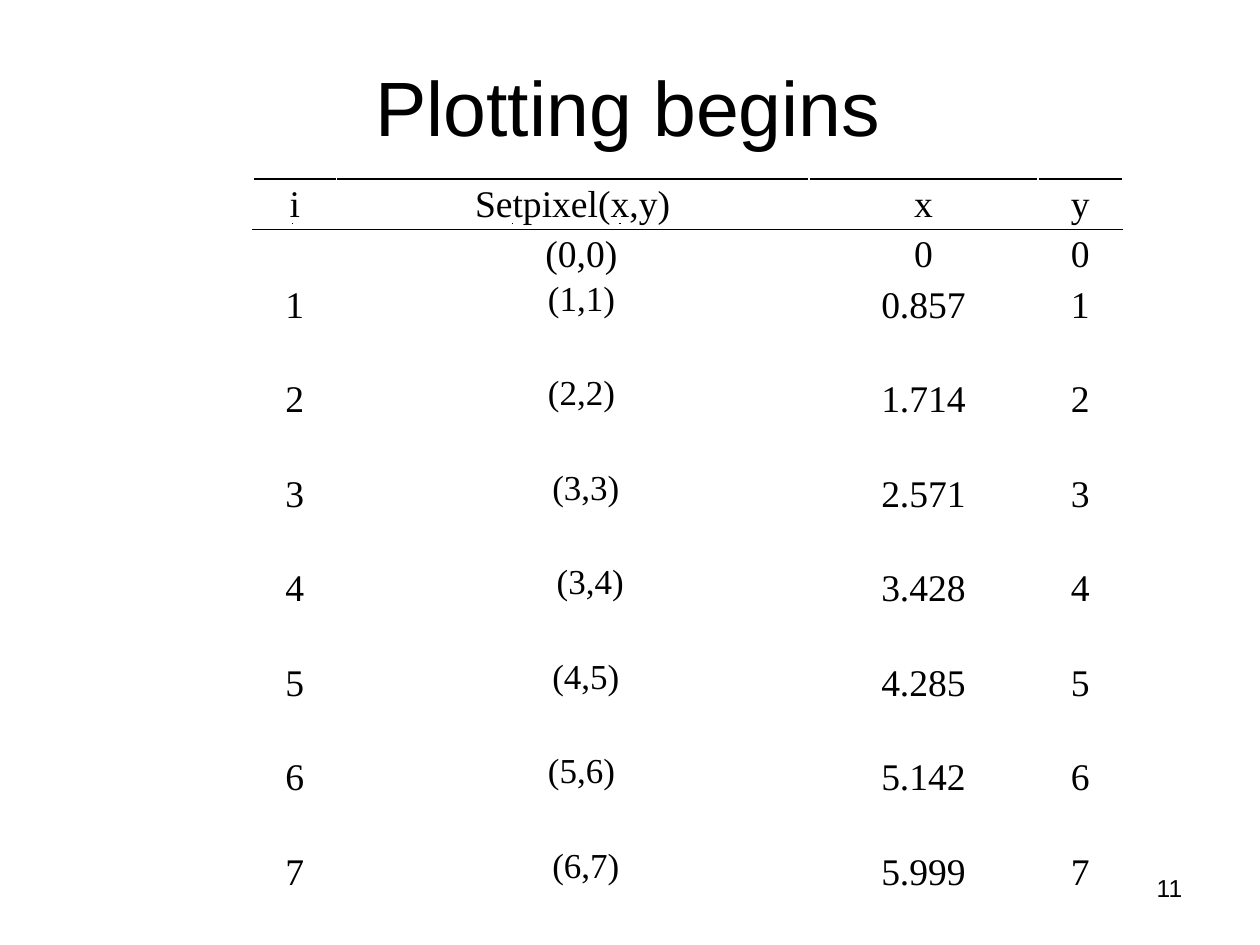
from pptx import Presentation
from pptx.dml.color import RGBColor
from pptx.enum.shapes import MSO_CONNECTOR
from pptx.enum.text import MSO_ANCHOR, PP_ALIGN
from pptx.oxml.ns import qn
from pptx.util import Inches, Pt
from lxml import etree

LEFT, CENTER = PP_ALIGN.LEFT, PP_ALIGN.CENTER
TOP = MSO_ANCHOR.TOP
STRAIGHT = MSO_CONNECTOR.STRAIGHT
COLORS = {"ink": "000000"}
SERIF, SANS = "Times New Roman", "Arial"


def write(tf, text, font=SERIF, size=21.5, align=CENTER, spacing=1.12):
    p = tf.paragraphs[0]
    p.alignment = align
    p.line_spacing = spacing
    r = p.add_run()
    r.text = text
    r.font.name = font
    r.font.size = Pt(size)
    r.font.color.rgb = RGBColor.from_string(COLORS["ink"])


def add_border(cell, side):
    tcPr = cell._tc.get_or_add_tcPr()
    ln = etree.Element(qn("a:" + side), w=str(Pt(1)))
    fill = etree.SubElement(ln, qn("a:solidFill"))
    etree.SubElement(fill, qn("a:srgbClr"), val=COLORS["ink"])
    tcPr.insert(0 if side == "lnT" else len(tcPr) - 1, ln)


prs = Presentation()
prs.slide_width, prs.slide_height = Inches(10), Inches(7.5)
s = prs.slides.add_slide(prs.slide_layouts[5])

title = s.shapes.title
title.left, title.top = Inches(2.98), Inches(0.39)
title.width, title.height = Inches(4.04), Inches(0.76)
tf = title.text_frame
tf.margin_left = tf.margin_right = tf.margin_bottom = 0
tf.margin_top = Inches(0.08)
tf.vertical_anchor = TOP
write(tf, "Plotting begins", font=SANS, size=44, align=LEFT, spacing=1)

rows = [
    ("i", "Setpixel(x,y)", "x", "y"),
    ("", "(0,0)", "0", "0"),
]
points = [
    ("(1,1)", "0.857"),
    ("(2,2)", "1.714"),
    ("(3,3)", "2.571"),
    ("(3,4)", "3.428"),
    ("(4,5)", "4.285"),
    ("(5,6)", "5.142"),
    ("(6,7)", "5.999"),
]
for i, (pixel, x) in enumerate(points, 1):
    rows += [(str(i), pixel, x, str(i)), ("", "", "", "")]
indents = {"(3,3)": 0.21, "(3,4)": 0.28, "(4,5)": 0.21, "(6,7)": 0.21, "Setpixel(x,y)": 0}

widths = [0.66, 3.75, 1.82, 0.67]
table = s.shapes.add_table(
    len(rows), len(widths), Inches(2.01), Inches(1.42), Inches(sum(widths)), Inches(0.35 * len(rows))
).table
table.first_row = table.horz_banding = False
for column, width in zip(table.columns, widths):
    column.width = Inches(width)

for n, values in enumerate(rows):
    table.rows[n].height = Inches(0.4 if any(values) else 0.35)
    for c, text in enumerate(values):
        cell = table.cell(n, c)
        cell.margin_left = cell.margin_right = cell.margin_top = cell.margin_bottom = 0
        cell.fill.background()
        if n < 2:
            add_border(cell, "lnT")
            add_border(cell, "lnB")
        if not text:
            continue
        if c == 1:
            cell.margin_left = Inches(indents.get(text, 0.14))
        small = c == 1 and n > 1
        write(cell.text_frame, text, size=20 if small else 21.5, spacing=1 if small else 1.12)

for y in (1.42, 1.77):
    for x in (2.32, 4.07, 4.92):
        tick = s.shapes.add_connector(STRAIGHT, Inches(x), Inches(y), Inches(x), Inches(y + 0.01))
        tick.line.color.rgb = RGBColor.from_string(COLORS["ink"])
        tick.line.width = Pt(0.75)
        etree.SubElement(tick._element.spPr, qn("a:effectLst"))

tf = s.shapes.add_textbox(Inches(9.14), Inches(6.89), Inches(0.3), Inches(0.25)).text_frame
tf.word_wrap = True
tf.margin_left = Inches(0.04)
tf.margin_right = tf.margin_top = tf.margin_bottom = 0
write(tf, "11", font=SANS, size=14, align=LEFT, spacing=1.17)

prs.save("out.pptx")
